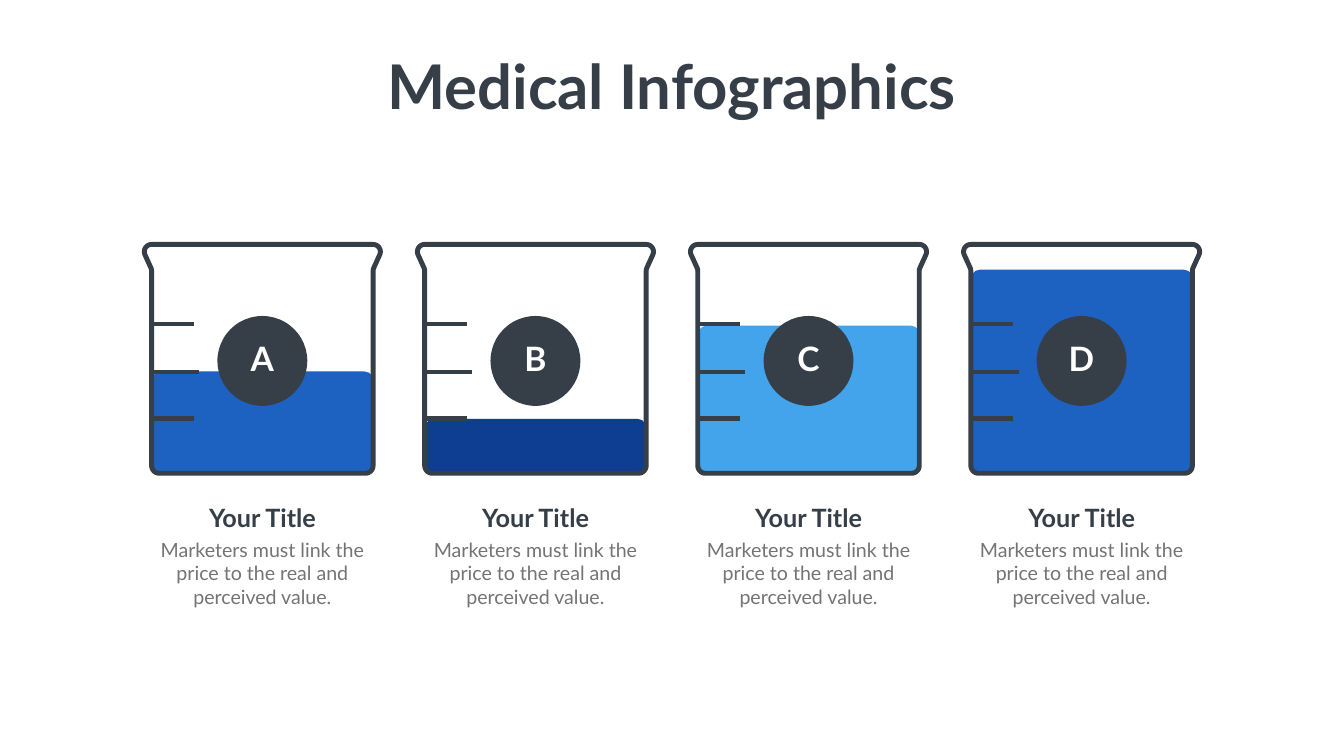
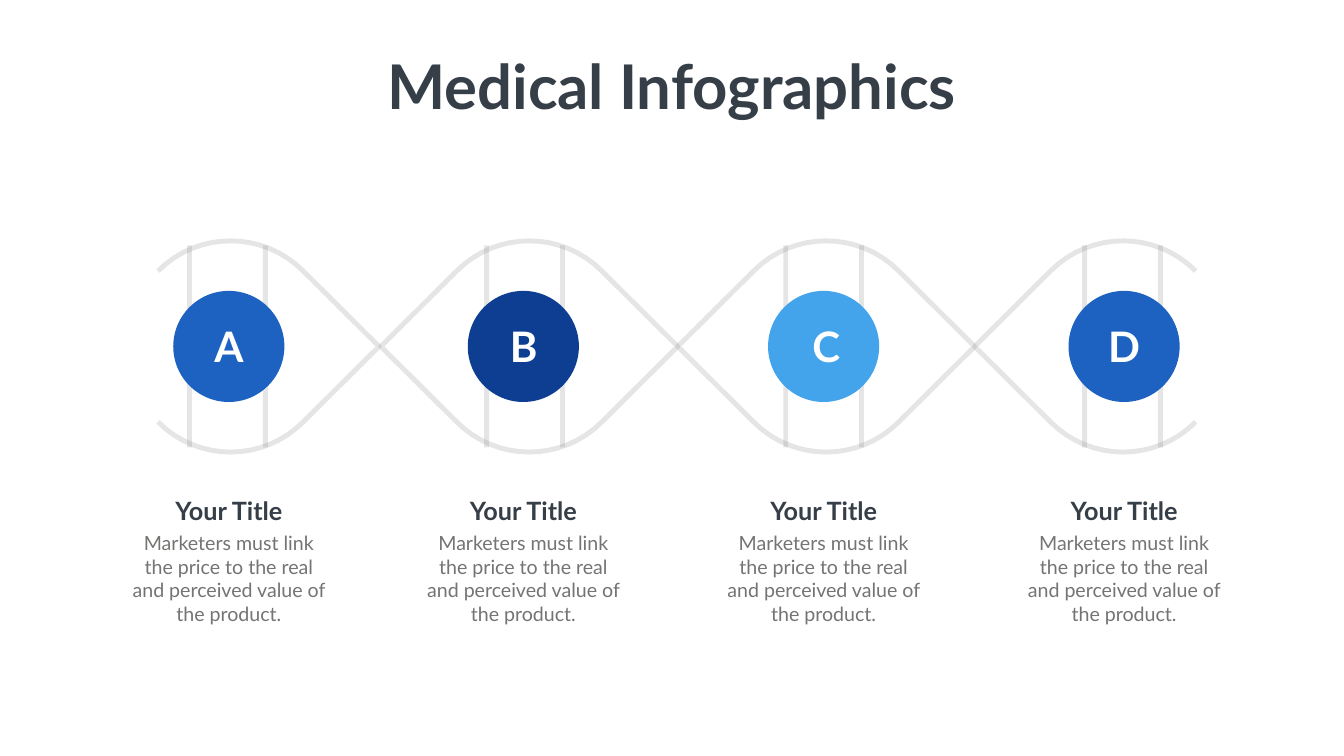
from lxml.etree import SubElement
from pptx import Presentation
from pptx.dml.color import RGBColor
from pptx.enum.shapes import MSO_CONNECTOR as Connector, MSO_SHAPE as Shape
from pptx.enum.text import MSO_AUTO_SIZE as AutoSize, PP_ALIGN as Align
from pptx.oxml.ns import qn
from pptx.util import Cm, Pt

FONT = "Lato"
SLATE = RGBColor(0x36, 0x3E, 0x48)
GRAY = RGBColor(0x73, 0x75, 0x72)
STRAND_GRAY = RGBColor(0x80, 0x80, 0x80)
WHITE = RGBColor(0xFF, 0xFF, 0xFF)
BLUE = RGBColor(0x1D, 0x62, 0xC1)
NAVY = RGBColor(0x0D, 0x3E, 0x91)
SKY = RGBColor(0x43, 0xA4, 0xEC)

LINE_WIDTH = 7
CURVE_STEPS = 16

BEAKER_TOP = 12.32
BEAKER_FIRST = 13.22
BEAKER_PITCH = 13.76
BEAKER_HALF = 5.58
BEAKER_HEIGHT = 11.53
LIQUID_WIDTH = 11.18
LIQUID_RADIUS = 0.46
TICKS = [(6.43, 2.4), (4.01, 2.11), (8.79, 2.11)]
BEAKERS = [("A", BLUE, 5.13), ("B", NAVY, 2.74), ("C", SKY, 7.44), ("D", BLUE, 10.26)]
BEAKER_TEXT = "Marketers must link the price to the real and perceived value."

HELIX_MIDDLE = 17.46
RUNG_HALF_GAP = 1.91
RUNG_HALF_HEIGHT = 5.09
HELIX_STAGES = [
    ("A", BLUE, 11.53, 11.54, 11.46),
    ("B", NAVY, 26.37, 26.4, 26.43),
    ("C", SKY, 41.5, 41.64, 41.5),
    ("D", BLUE, 56.64, 56.65, 56.56),
]
STRANDS = [(11.62, 1, False), (56.59, -1, False), (26.67, 1, True), (41.63, 1, True)]
HELIX_TEXT = "Marketers must link the price to the real and perceived value of the product."


def add_text(shapes, text, left, top, width, height, size, color, bold=True, wrap=True):
    box = shapes.add_textbox(Cm(left), Cm(top), Cm(width), Cm(height))
    frame = box.text_frame
    frame.word_wrap = wrap
    frame.auto_size = AutoSize.SHAPE_TO_FIT_TEXT
    paragraph = frame.paragraphs[0]
    paragraph.alignment = Align.CENTER
    run = paragraph.add_run()
    run.text = text
    run.font.name = FONT
    run.font.size = Pt(size)
    run.font.bold = bold
    run.font.color.rgb = color


def add_title_slide(presentation, title):
    slide = presentation.slides.add_slide(presentation.slide_layouts[6])
    add_text(slide.shapes, title, 18.92, 2.31, 29.85, 4.01, 88, SLATE, wrap=False)
    return slide


def add_filled(slide, kind, left, top, width, height, color):
    shape = slide.shapes.add_shape(kind, Cm(left), Cm(top), Cm(width), Cm(height))
    shape.shadow.inherit = False
    shape.fill.solid()
    shape.fill.fore_color.rgb = color
    shape.line.fill.background()
    return shape


def style_line(line, color, opacity=None):
    line.width = Pt(LINE_WIDTH)
    line.color.rgb = color
    if opacity is not None:
        color_element = line.fill._xPr.find(qn("a:solidFill"))[0]
        SubElement(color_element, qn("a:alpha")).set("val", str(opacity * 1000))


def add_line(slide, x1, y1, x2, y2, color, opacity=None):
    connector = slide.shapes.add_connector(Connector.STRAIGHT, Cm(x1), Cm(y1), Cm(x2), Cm(y2))
    style_line(connector.line, color, opacity)
    SubElement(connector._element.spPr, qn("a:effectLst"))


def add_outline(slide, points, center, top, color, closed=True, opacity=None):
    placed = [(Cm(center + x), Cm(top + y)) for x, y in points]
    builder = slide.shapes.build_freeform(*placed[0])
    builder.add_line_segments(placed[1:], close=closed)
    shape = builder.convert_to_shape()
    shape.shadow.inherit = False
    shape.fill.background()
    style_line(shape.line, color, opacity)


def curve(start, control1, control2, end):
    points = []
    for step in range(CURVE_STEPS + 1):
        t = step / CURVE_STEPS
        weights = ((1 - t) ** 3, 3 * t * (1 - t) ** 2, 3 * t * t * (1 - t), t ** 3)
        corners = (start, control1, control2, end)
        points.append(tuple(sum(w * c[axis] for w, c in zip(weights, corners)) for axis in (0, 1)))
    return points


def mirror(points):
    return [(-x, y) for x, y in points]


def add_caption(slide, center, top, text, width, height):
    shapes = slide.shapes.add_group_shape().shapes
    add_text(shapes, text, center - width / 2, top + 1.8, width, height, 28, GRAY, bold=False)
    add_text(shapes, "Your Title", center - 4.53, top, 9.07, 1.8, 36, SLATE)


def add_badge(slide, center, middle, diameter, color):
    add_filled(slide, Shape.OVAL, center - diameter / 2, middle - diameter / 2,
               diameter, diameter, color)


def add_letter(slide, letter, center, middle, size, height):
    add_text(slide.shapes, letter, center - 1.54, middle - height / 2, 3.07, height, size, WHITE)


def add_beaker(slide, center, top, color, level):
    left = center - BEAKER_HALF
    liquid = add_filled(slide, Shape.ROUNDED_RECTANGLE, left, top + BEAKER_HEIGHT - level,
                        LIQUID_WIDTH, level, color)
    liquid.adjustments[0] = LIQUID_RADIUS / min(level, LIQUID_WIDTH)
    right_side = (
        curve((BEAKER_HALF, 0), (5.85, 0), (6.03, 0.28), (5.91, 0.53))
        + curve((5.61, 1.19), (5.59, 1.24), (BEAKER_HALF, 1.3), (BEAKER_HALF, 1.35))
        + curve((BEAKER_HALF, 11.15), (BEAKER_HALF, 11.35),
                (5.41, BEAKER_HEIGHT), (5.21, BEAKER_HEIGHT))
    )
    add_outline(slide, right_side + mirror(right_side)[::-1], center, top, SLATE)
    for offset, length in TICKS:
        add_line(slide, left, top + offset, left + length, top + offset, SLATE)


def add_strand(slide, center, middle, side, closed):
    top_arc = curve((-3.66, -3.8), (-1.64, -5.83), (1.64, -5.83), (3.66, -3.8))
    bottom_arc = [(x, -y) for x, y in reversed(top_arc)]
    points = top_arc + [(7.48, 0)] + bottom_arc
    if closed:
        points.append((-7.48, 0))
    if side < 0:
        points = mirror(points)
    add_outline(slide, points, center, middle, STRAND_GRAY, closed, opacity=20)


def add_rungs(slide, center, middle):
    for x in (center - RUNG_HALF_GAP, center + RUNG_HALF_GAP):
        add_line(slide, x, middle - RUNG_HALF_HEIGHT, x, middle + RUNG_HALF_HEIGHT,
                 STRAND_GRAY, opacity=20)


def build_beaker_slide(presentation):
    slide = add_title_slide(presentation, "Medical Infographics")
    centers = [BEAKER_FIRST + index * BEAKER_PITCH for index in range(len(BEAKERS))]
    for center, (letter, color, level) in zip(centers, BEAKERS):
        add_beaker(slide, center, BEAKER_TOP, color, level)
    for center in centers:
        add_badge(slide, center, BEAKER_TOP + 5.87, 4.53, SLATE)
    for center in centers:
        add_caption(slide, center, 25.17, BEAKER_TEXT, 11.81, 3.84)
    for center, (letter, color, level) in zip(centers, BEAKERS):
        add_letter(slide, letter, center, BEAKER_TOP + 5.75, 48, 2.31)


def build_helix_slide(presentation):
    slide = add_title_slide(presentation, "Medical Infographics")
    for letter, color, center, letter_center, rung_center in HELIX_STAGES:
        add_rungs(slide, rung_center, HELIX_MIDDLE)
    for center, side, closed in STRANDS:
        add_strand(slide, center, HELIX_MIDDLE, side, closed)
    for letter, color, center, letter_center, rung_center in HELIX_STAGES:
        add_badge(slide, center, HELIX_MIDDLE, 5.6, color)
        add_caption(slide, center, 24.84, HELIX_TEXT, 10.41, 5.05)
        add_letter(slide, letter, letter_center, HELIX_MIDDLE, 60, 2.82)


def main():
    presentation = Presentation()
    presentation.slide_width = Cm(67.72)
    presentation.slide_height = Cm(38.1)
    build_beaker_slide(presentation)
    build_helix_slide(presentation)
    presentation.save("out.pptx")


if __name__ == "__main__":
    main()
